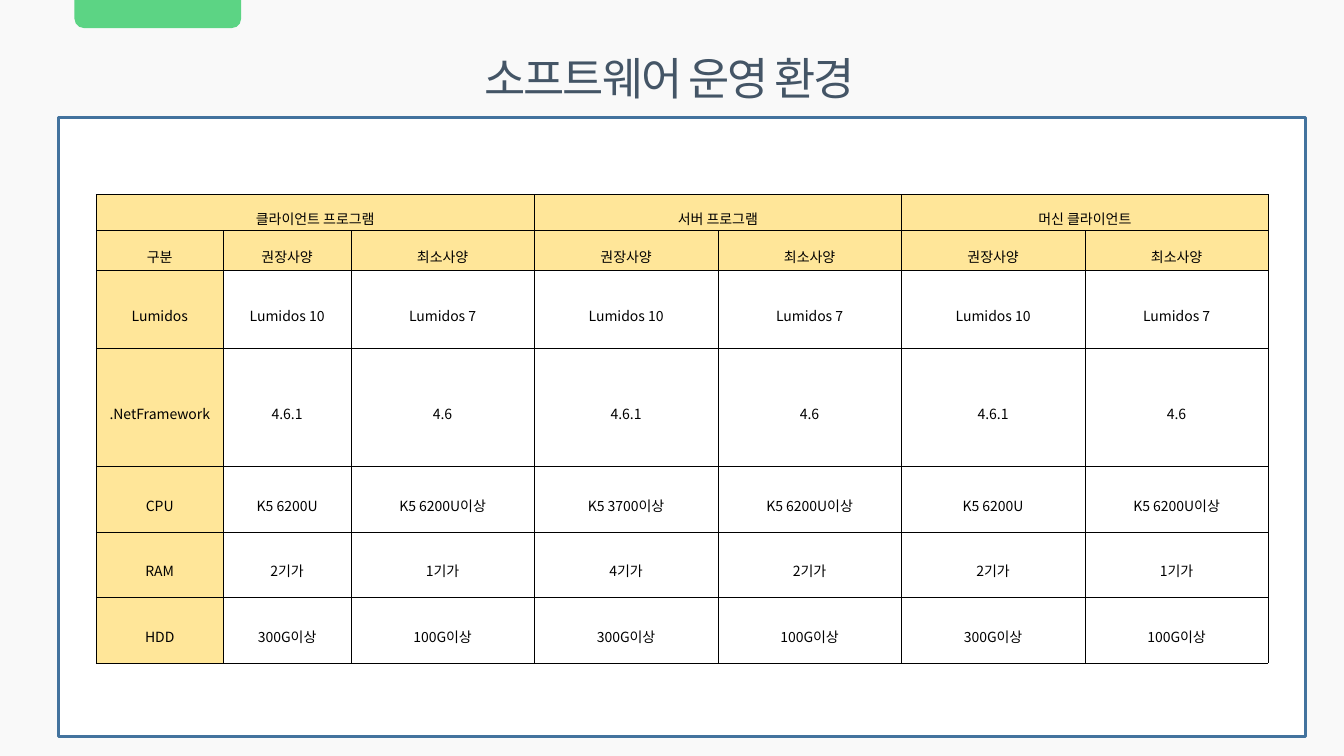
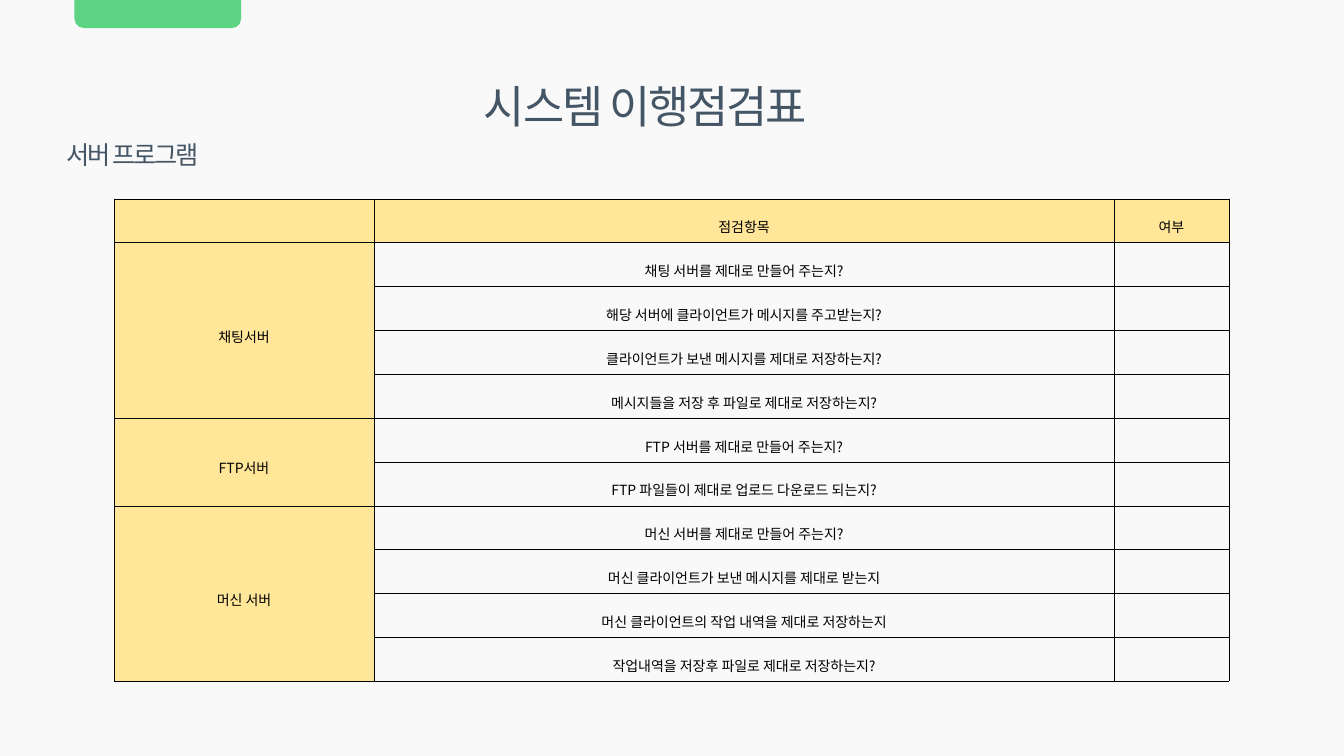
from lxml import etree
from pptx import Presentation
from pptx.dml.color import RGBColor
from pptx.enum.shapes import MSO_SHAPE
from pptx.enum.text import MSO_ANCHOR, MSO_AUTO_SIZE, PP_ALIGN
from pptx.oxml.ns import qn
from pptx.util import Pt

CENTER, LEFT = PP_ALIGN.CENTER, PP_ALIGN.LEFT
TOP, MIDDLE = MSO_ANCHOR.TOP, MSO_ANCHOR.MIDDLE
NO_AUTOFIT = MSO_AUTO_SIZE.NONE
RECTANGLE, TAB = MSO_SHAPE.RECTANGLE, MSO_SHAPE.ROUND_2_SAME_RECTANGLE
TITLE_ONLY = 5

FONT = "Noto Sans CJK KR"
PAPER, WHITE, BLACK = "F9F9F9", "FFFFFF", "000000"
GREEN, SLATE, BLUE, YELLOW = "5CD484", "445566", "43739E", "FFE699"

PROGRAMS = [("클라이언트 프로그램", 3), ("서버 프로그램", 2), ("머신 클라이언트", 2)]
SPECS = [
    ["구분"] + ["권장사양", "최소사양"] * 3,
    ["Lumidos"] + ["Lumidos 10", "Lumidos 7"] * 3,
    [".NetFramework"] + ["4.6.1", "4.6"] * 3,
    ["CPU", "K5 6200U", "K5 6200U이상", "K5 3700이상", "K5 6200U이상", "K5 6200U", "K5 6200U이상"],
    ["RAM", "2기가", "1기가", "4기가", "2기가", "2기가", "1기가"],
    ["HDD"] + ["300G이상", "100G이상"] * 3,
]
SPEC_COLUMNS = [91, 91] + [131.1] * 5
SPEC_ROWS = [25.2, 28, 56.2, 84.2] + [46.8] * 3

CHECK_HEADER = ["", "점검항목", "여부"]
CHECKS = [
    ("채팅서버", [
        "채팅 서버를 제대로 만들어 주는지?",
        "해당 서버에 클라이언트가 메시지를 주고받는지?",
        "클라이언트가 보낸 메시지를 제대로 저장하는지?",
        "메시지들을 저장 후 파일로 제대로 저장하는지?",
    ]),
    ("FTP서버", [
        "FTP 서버를 제대로 만들어 주는지?",
        "FTP 파일들이 제대로 업로드 다운로드 되는지?",
    ]),
    ("머신 서버", [
        "머신 서버를 제대로 만들어 주는지?",
        "머신 클라이언트가 보낸 메시지를 제대로 받는지",
        "머신 클라이언트의 작업 내역을 제대로 저장하는지",
        "작업내역을 저장후 파일로 제대로 저장하는지?",
    ]),
]
CHECK_COLUMNS = [185.8, 528.5, 82]
CHECK_ROW = 31.35


def rgb(value):
    return RGBColor.from_string(value)


def write(frame, text, size=10, color=BLACK, align=CENTER, line_spacing=1.0, tracking=0):
    paragraph = frame.paragraphs[0]
    paragraph.alignment = align
    paragraph.line_spacing = line_spacing
    run = paragraph.add_run()
    run.text = text
    run.font.size = Pt(size)
    run.font.name = FONT
    run.font.color.rgb = rgb(color)
    properties = run.font._element
    etree.SubElement(properties, qn("a:ea")).set("typeface", FONT)
    if tracking:
        properties.set("spc", str(int(tracking * 100)))


def place_heading(heading, text, box, size, align):
    heading.left, heading.top, heading.width, heading.height = map(Pt, box)
    frame = heading.text_frame
    frame.word_wrap = True
    frame.auto_size = NO_AUTOFIT
    frame.vertical_anchor = TOP
    write(frame, text, size=size, color=SLATE, align=align, tracking=-1.5)


def add_block(slide, kind, box, fill, line=None):
    block = slide.shapes.add_shape(kind, *map(Pt, box))
    block.shadow.inherit = False
    block.fill.solid()
    block.fill.fore_color.rgb = rgb(fill)
    if line:
        block.line.color.rgb = rgb(line)
        block.line.width = Pt(2)
    else:
        block.line.fill.background()
    return block


def start_slide(deck, title, title_box):
    slide = deck.slides.add_slide(deck.slide_layouts[TITLE_ONLY])
    place_heading(slide.shapes.title, title, title_box, 32, CENTER)
    tab = add_block(slide, TAB, (53.2, 0, 119, 20), GREEN)
    tab.adjustments[0] = 0.33
    tab.rotation = 180
    return slide


def add_borders(cell, width):
    properties = cell._tc.get_or_add_tcPr()
    for side in ("lnL", "lnR", "lnT", "lnB"):
        border = etree.SubElement(properties, qn("a:" + side))
        border.set("w", str(Pt(width)))
        fill = etree.SubElement(border, qn("a:solidFill"))
        etree.SubElement(fill, qn("a:srgbClr")).set("val", BLACK)


def add_grid(slide, origin, widths, heights, rows, spans, header_rows, body_fill, border):
    size = (sum(widths), sum(heights))
    grid = slide.shapes.add_table(len(rows), len(widths), *map(Pt, origin + size)).table
    grid.first_row = grid.horz_banding = False
    for column, width in zip(grid.columns, widths):
        column.width = Pt(width)
    for row, height in zip(grid.rows, heights):
        row.height = Pt(height)
    for r, texts in enumerate(rows):
        for c, text in enumerate(texts):
            cell = grid.cell(r, c)
            cell.margin_left = cell.margin_right = Pt(5)
            cell.margin_top = cell.margin_bottom = Pt(1.4)
            cell.vertical_anchor = MIDDLE
            add_borders(cell, border)
            fill = YELLOW if r < header_rows or c == 0 else body_fill
            if fill:
                cell.fill.solid()
                cell.fill.fore_color.rgb = rgb(fill)
            else:
                cell.fill.background()
            if text:
                write(cell.text_frame, text, line_spacing=1.6)
    for first, last in spans:
        grid.cell(*first).merge(grid.cell(*last))


def build_environment(deck):
    slide = start_slide(deck, "소프트웨어 운영 환경", (316.8, 32.4, 323.3, 46))
    add_block(slide, RECTANGLE, (41.8, 84.2, 890.6, 442), WHITE, BLUE)
    header, spans = [], []
    for program, count in PROGRAMS:
        start = len(header)
        header += [program] + [""] * (count - 1)
        spans.append(((0, start), (0, len(header) - 1)))
    add_grid(slide, (68.6, 138.8), SPEC_COLUMNS, SPEC_ROWS, [header] + SPECS,
             spans, header_rows=2, body_fill=WHITE, border=0.25)


def build_checklist(deck):
    slide = start_slide(deck, "시스템 이행점검표", (319, 52.6, 284.4, 46))
    rows, spans = [CHECK_HEADER], []
    for server, questions in CHECKS:
        start = len(rows)
        rows += [[server if i == 0 else "", question, ""] for i, question in enumerate(questions)]
        spans.append(((start, 0), (len(rows) - 1, 0)))
    add_grid(slide, (81.4, 142), CHECK_COLUMNS, [CHECK_ROW] * len(rows), rows,
             spans, header_rows=1, body_fill=None, border=0.28)
    subtitle_box = (40.3, 95.8, 284.4, 29)
    subtitle = slide.shapes.add_textbox(*map(Pt, subtitle_box))
    place_heading(subtitle, "서버 프로그램", subtitle_box, 18, LEFT)


def main():
    deck = Presentation()
    deck.slide_width, deck.slide_height = Pt(960), Pt(540)
    background = deck.slide_master.background.fill
    background.solid()
    background.fore_color.rgb = rgb(PAPER)
    build_environment(deck)
    build_checklist(deck)
    deck.save("out.pptx")


if __name__ == "__main__":
    main()
